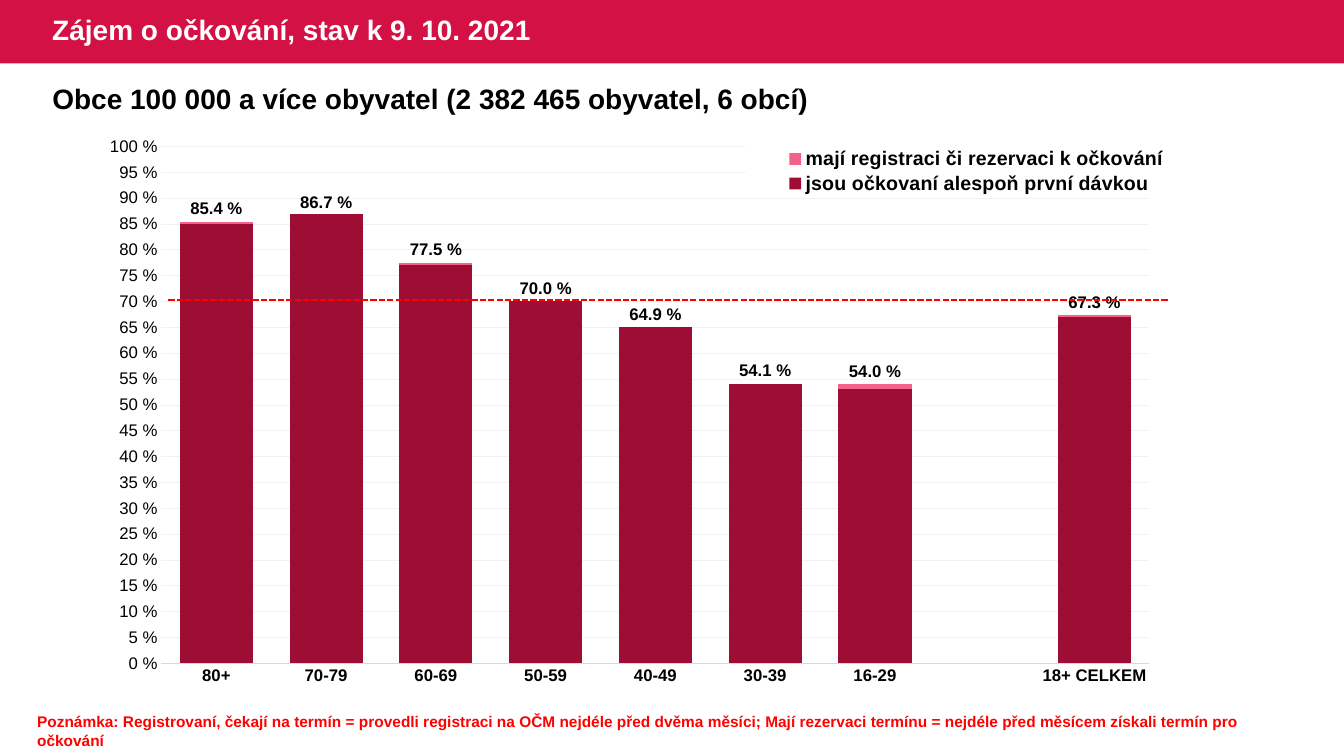
"""Builds a slide with a column chart of vaccination interest by age group."""
import lxml.etree
import pptx
import pptx.chart.data
import pptx.dml.color
import pptx.enum.chart
import pptx.enum.dml
import pptx.enum.shapes
import pptx.enum.text
import pptx.oxml
import pptx.oxml.ns
import pptx.util

TITLE = "Zájem o očkování, stav k 9. 10. 2021"
SUBTITLE = "Obce 100 000 a více obyvatel (2 382 465 obyvatel, 6 obcí)"
NOTE = (
    "Poznámka: Registrovaní, čekají na termín = provedli registraci na OČM nejdéle "
    "před dvěma měsíci; Mají rezervaci termínu = nejdéle před měsícem získali termín "
    "pro očkování"
)
AGE_GROUPS = ["80+", "70-79", "60-69", "50-59", "40-49", "30-39", "16-29", "", "18+ CELKEM"]
SERIES = [
    ("mají registraci či rezervaci k očkování", "registered",
     [85.4, 86.7, 77.5, 70, 64.9, 54.1, 54, None, 67.3]),
    ("jsou očkovaní alespoň první dávkou", "vaccinated",
     [85, 87, 77, 70, 65, 54, 53, None, 67]),
]
COLORS = {
    "banner": "D31145", "registered": "F26289", "vaccinated": "9E0D34",
    "black": "000000", "white": "FFFFFF", "red": "FF0000",
    "axis": "D9D9D9", "grid": "F2F2F2",
}
FONT = "Arial"
PLOT_LAYOUT = {"x": 0.045, "y": 0.032, "w": 0.888, "h": 0.895}
LEGEND_LAYOUT = {"x": 0.57, "y": 0.03, "w": 0.415, "h": 0.09}
Inches = pptx.util.Inches
Pt = pptx.util.Pt
qn = pptx.oxml.ns.qn


def rgb(name):
    return pptx.dml.color.RGBColor.from_string(COLORS[name])


def style_font(font, size, color="black", bold=False):
    font.name, font.size, font.bold = FONT, Pt(size), bold
    font.color.rgb = rgb(color)


def paint(fill, color):
    fill.solid()
    fill.fore_color.rgb = rgb(color)


def add_text(page, text, *, place, size, color="black", spacing=None, anchor="TOP"):
    frame = page.shapes.add_textbox(*map(Inches, place)).text_frame
    frame.word_wrap = True
    frame.vertical_anchor = getattr(pptx.enum.text.MSO_ANCHOR, anchor)
    para = frame.paragraphs[0]
    para.line_spacing = spacing
    span = para.add_run()
    span.text = text
    style_font(span.font, size, color, True)


def make_layout(fractions, inner=False):
    layout = pptx.oxml.parse_xml(f"<c:layout {pptx.oxml.ns.nsdecls('c')}/>")
    manual = lxml.etree.SubElement(layout, qn("c:manualLayout"))
    settings = {"layoutTarget": "inner"} if inner else {}
    settings.update(xMode="edge", yMode="edge", **fractions)
    for tag, value in settings.items():
        lxml.etree.SubElement(manual, qn(f"c:{tag}")).set("val", str(value))
    return layout


def remove_layout(element):
    for old in element.findall(qn("c:layout")):
        element.remove(old)


def style_axes(chart):
    tick_none = pptx.enum.chart.XL_TICK_MARK.NONE
    groups, percent = chart.category_axis, chart.value_axis
    for axis, bold in ((groups, True), (percent, False)):
        axis.major_tick_mark = axis.minor_tick_mark = tick_none
        style_font(axis.tick_labels.font, 12, bold=bold)
    groups.format.line.color.rgb = rgb("axis")
    groups.format.line.width = Pt(0.75)
    percent.format.line.fill.background()
    percent.minimum_scale, percent.maximum_scale, percent.major_unit = 0, 100, 5
    percent.tick_labels.number_format = '0" %"'
    percent.tick_labels.number_format_is_linked = False
    percent.has_major_gridlines = True
    percent.major_gridlines.format.line.color.rgb = rgb("grid")
    percent.major_gridlines.format.line.width = Pt(0.5)


def style_legend(chart):
    chart.has_legend = True
    legend = chart.legend
    legend.position = pptx.enum.chart.XL_LEGEND_POSITION.TOP
    legend.include_in_layout = False
    style_font(legend.font, 14, bold=True)
    element = legend._element
    remove_layout(element)
    element.find(qn("c:legendPos")).addnext(make_layout(LEGEND_LAYOUT))
    background = pptx.oxml.parse_xml(
        f"<c:spPr {pptx.oxml.ns.nsdecls('c', 'a')}><a:solidFill>"
        f"<a:srgbClr val=\"{COLORS['white']}\"/></a:solidFill></c:spPr>")
    element.find(qn("c:txPr")).addprevious(background)


def add_age_chart(page):
    data = pptx.chart.data.CategoryChartData()
    data.categories = AGE_GROUPS
    for name, color, values in SERIES:
        data.add_series(name, values)
    chart = page.shapes.add_chart(
        pptx.enum.chart.XL_CHART_TYPE.COLUMN_CLUSTERED,
        *map(Inches, (1.09, 1.27, 11.05, 5.73)), data).chart
    chart.has_title = False
    style_font(chart.font, 10)
    plot = chart.plots[0]
    plot.gap_width, plot.overlap, plot.vary_by_categories = 50, 100, False
    for series, (name, color, values) in zip(plot.series, SERIES):
        paint(series.format.fill, color)
        series.invert_if_negative = False
    labels = plot.series[0].data_labels
    labels.show_value = True
    labels.number_format, labels.number_format_is_linked = '0.0" %"', False
    labels.position = pptx.enum.chart.XL_LABEL_POSITION.OUTSIDE_END
    style_font(labels.font, 12, bold=True)
    style_axes(chart)
    style_legend(chart)
    area = chart._chartSpace.find(".//" + qn("c:plotArea"))
    remove_layout(area)
    area.insert(0, make_layout(PLOT_LAYOUT, inner=True))


def add_threshold(page):
    line = page.shapes.add_connector(
        pptx.enum.shapes.MSO_CONNECTOR.STRAIGHT, *map(Inches, (1.67, 2.98, 11.59, 2.98)))
    line.line.color.rgb = rgb("red")
    line.line.width = Pt(1.5)
    line.line.dash_style = pptx.enum.dml.MSO_LINE.SQUARE_DOT
    lxml.etree.SubElement(line._element.spPr, qn("a:effectLst"))


def main():
    deck = pptx.Presentation()
    deck.slide_width, deck.slide_height = Inches(13.33), Inches(7.5)
    page = deck.slides.add_slide(deck.slide_layouts[6])
    banner = page.shapes.add_shape(
        pptx.enum.shapes.MSO_SHAPE.RECTANGLE, 0, 0, deck.slide_width, Inches(0.63))
    banner.shadow.inherit = False
    paint(banner.fill, "banner")
    banner.line.fill.background()
    add_text(page, TITLE, place=(0.42, 0, 5.9, 0.63), size=20, color="white",
             spacing=0.9, anchor="MIDDLE")
    add_text(page, SUBTITLE, place=(0.42, 0.76, 12.39, 0.44), size=20)
    add_age_chart(page)
    add_threshold(page)
    add_text(page, NOTE, place=(0.27, 7.02, 12.81, 0.29), size=11, color="red")
    deck.save("out.pptx")


if __name__ == "__main__":
    main()
